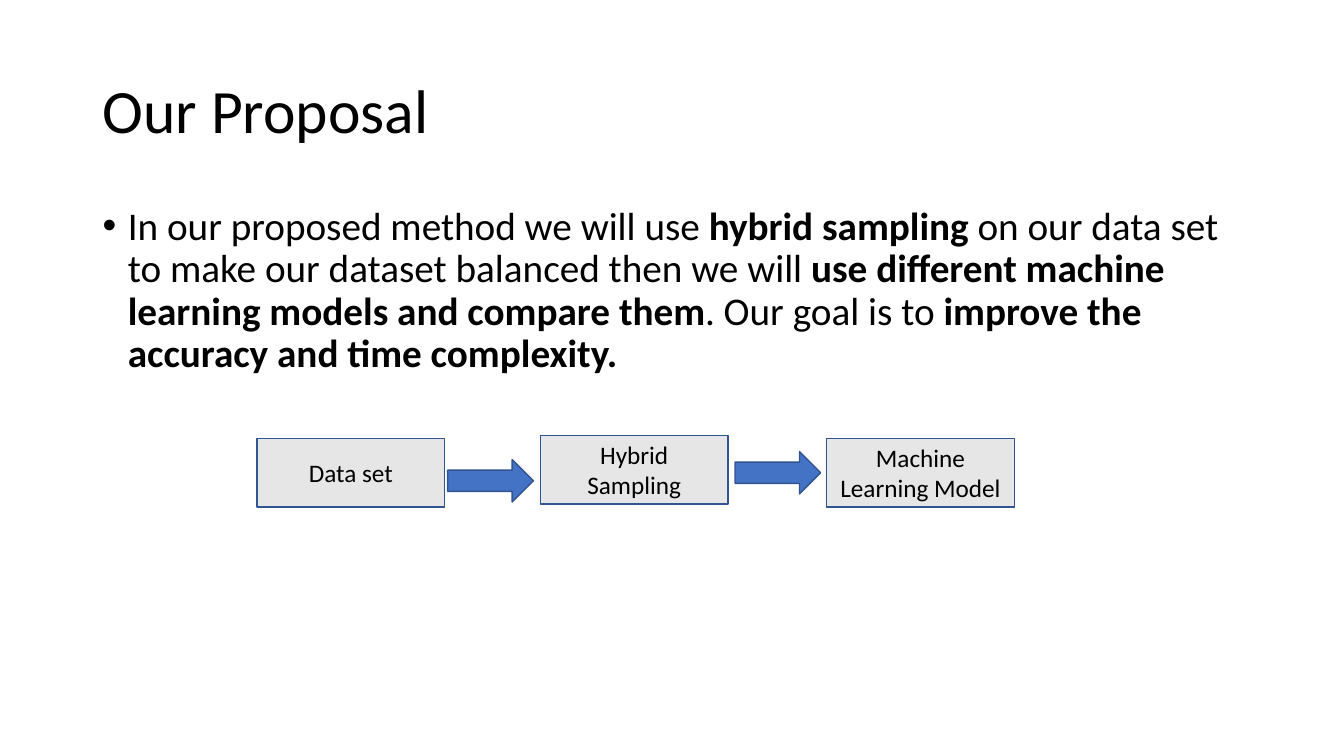
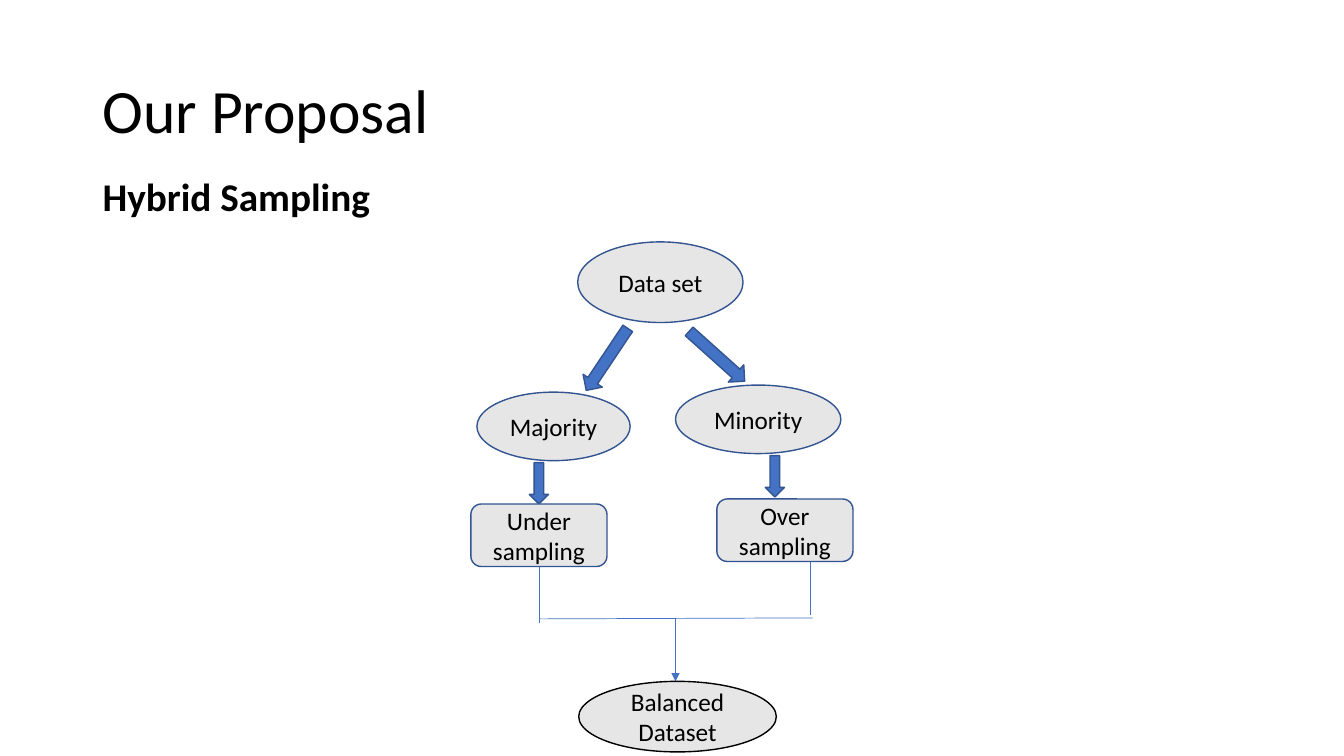
import dataclasses
import typing

import lxml.etree
import pptx
import pptx.dml.color
import pptx.enum.shapes
import pptx.enum.text
import pptx.oxml.ns
import pptx.util

RGBColor = pptx.dml.color.RGBColor
Inches = pptx.util.Inches
Pt = pptx.util.Pt
Preset = pptx.enum.shapes.MSO_SHAPE
Anchor = pptx.enum.text.MSO_ANCHOR
Align = pptx.enum.text.PP_ALIGN

BLACK = RGBColor(0x00, 0x00, 0x00)
GRAY = RGBColor(0xE7, 0xE6, 0xE6)
BLUE = RGBColor(0x44, 0x72, 0xC4)
NAVY = RGBColor(0x32, 0x54, 0x91)

FONT = "Calibri"
TITLE = "Our Proposal"
TEXT_LEFT, TEXT_WIDTH = 0.92, 11.5
BULLET_INDENT = Inches(0.25)


class Span(typing.NamedTuple):
    text: str
    bold: bool = False


@dataclasses.dataclass(frozen=True)
class Node:
    text: str
    left: float
    top: float
    width: float
    height: float
    preset: Preset
    outline: RGBColor = NAVY
    inset: float = 0.1


@dataclasses.dataclass(frozen=True)
class BlockArrow:
    left: float
    top: float
    width: float
    height: float
    preset: Preset = Preset.RIGHT_ARROW
    rotation: float = 0


class Link(typing.NamedTuple):
    start_x: float
    start_y: float
    end_x: float
    end_y: float
    arrow: bool = False


def apply_format(target: typing.Any, values: dict[str, typing.Any]) -> None:
    for name, value in values.items():
        setattr(target, name, value)


def add_spans(paragraph: typing.Any, spans: typing.Sequence[Span], size: float) -> None:
    for span in spans:
        run = paragraph.add_run()
        run.text = span.text
        apply_format(run.font, {"name": FONT, "size": Pt(size), "bold": span.bold})
        run.font.color.rgb = BLACK


def add_text(slide: typing.Any, spans: typing.Sequence[Span], top: float, height: float,
             size: float, anchor: Anchor = Anchor.TOP, space_before: float = 0) -> typing.Any:
    box = slide.shapes.add_textbox(Inches(TEXT_LEFT), Inches(top), Inches(TEXT_WIDTH), Inches(height))
    apply_format(box.text_frame, {"word_wrap": True, "vertical_anchor": anchor})
    paragraph = box.text_frame.paragraphs[0]
    apply_format(paragraph, {"line_spacing": 0.9, "space_before": Pt(space_before)})
    add_spans(paragraph, spans, size)
    return paragraph


def add_body(slide: typing.Any, spans: typing.Sequence[Span], top: float) -> typing.Any:
    return add_text(slide, spans, top, 7.5 - top, 28, space_before=10)


def add_bullet(paragraph: typing.Any) -> None:
    properties = paragraph._p.get_or_add_pPr()
    properties.set("marL", str(BULLET_INDENT))
    properties.set("indent", str(-BULLET_INDENT))
    font = lxml.etree.SubElement(properties, pptx.oxml.ns.qn("a:buFont"))
    font.set("typeface", "Arial")
    bullet = lxml.etree.SubElement(properties, pptx.oxml.ns.qn("a:buChar"))
    bullet.set("char", "•")


def add_filled(slide: typing.Any, item: Node | BlockArrow, fill: RGBColor, outline: RGBColor) -> typing.Any:
    shape = slide.shapes.add_shape(item.preset, Inches(item.left), Inches(item.top),
                                   Inches(item.width), Inches(item.height))
    shape.shadow.inherit = False
    shape.fill.solid()
    shape.fill.fore_color.rgb = fill
    shape.line.color.rgb = outline
    shape.line.width = Pt(1)
    return shape


def add_node(slide: typing.Any, node: Node) -> None:
    shape = add_filled(slide, node, GRAY, node.outline)
    apply_format(shape.text_frame, {
        "word_wrap": True,
        "vertical_anchor": Anchor.MIDDLE,
        "margin_left": Inches(node.inset),
        "margin_right": Inches(node.inset),
    })
    paragraph = shape.text_frame.paragraphs[0]
    paragraph.alignment = Align.CENTER
    add_spans(paragraph, [Span(node.text)], 18)


def add_block_arrow(slide: typing.Any, arrow: BlockArrow) -> None:
    shape = add_filled(slide, arrow, BLUE, NAVY)
    shape.rotation = arrow.rotation


def add_link(slide: typing.Any, link: Link) -> None:
    connector = slide.shapes.add_connector(
        pptx.enum.shapes.MSO_CONNECTOR.STRAIGHT, Inches(link.start_x), Inches(link.start_y),
        Inches(link.end_x), Inches(link.end_y))
    connector.line.color.rgb = BLUE
    connector.line.width = Pt(0.5)
    if link.arrow:
        tail = lxml.etree.SubElement(connector.line._get_or_add_ln(), pptx.oxml.ns.qn("a:tailEnd"))
        tail.set("type", "triangle")
    lxml.etree.SubElement(connector._element.spPr, pptx.oxml.ns.qn("a:effectLst"))


def add_diagram(slide: typing.Any, nodes: typing.Sequence[Node], arrows: typing.Sequence[BlockArrow],
                links: typing.Sequence[Link] = ()) -> None:
    for arrow in arrows:
        add_block_arrow(slide, arrow)
    for link in links:
        add_link(slide, link)
    for node in nodes:
        add_node(slide, node)


def add_titled_slide(presentation: typing.Any) -> typing.Any:
    slide = presentation.slides.add_slide(presentation.slide_layouts[6])
    add_text(slide, [Span(TITLE)], 0.4, 1.45, 44, Anchor.MIDDLE)
    return slide


def build_overview(presentation: typing.Any) -> None:
    slide = add_titled_slide(presentation)
    add_bullet(add_body(slide, [
        Span("In our proposed method we will use "),
        Span("hybrid sampling ", True),
        Span("on our data set to make our dataset balanced then we will "),
        Span("use different machine learning models and compare them", True),
        Span(". Our goal is to "),
        Span("improve the accuracy and time complexity.", True),
    ], 2))
    steps = [("Data set", 2.55, 4.35), ("Hybrid Sampling", 5.36, 4.32), ("Machine Learning Model", 8.2, 4.35)]
    add_diagram(
        slide,
        [Node(text, left, top, 1.86, 0.68, Preset.RECTANGLE, inset=0.11) for text, left, top in steps],
        [BlockArrow(left, top, 0.85, 0.42) for left, top in [(4.44, 4.56), (7.29, 4.48)]],
    )


def build_hybrid_sampling(presentation: typing.Any) -> None:
    slide = add_titled_slide(presentation)
    add_body(slide, [Span("Hybrid Sampling", True)], 1.71)
    nodes = [
        Node("Data set", 5.73, 2.4, 1.64, 0.8, Preset.OVAL),
        Node("Majority", 4.73, 3.89, 1.52, 0.68, Preset.OVAL),
        Node("Minority", 6.7, 3.82, 1.64, 0.68, Preset.OVAL),
        Node("Under sampling", 4.67, 5, 1.35, 0.62, Preset.ROUNDED_RECTANGLE),
        Node("Over sampling", 7.11, 4.95, 1.35, 0.62, Preset.ROUNDED_RECTANGLE),
        Node("Balanced Dataset", 5.74, 6.76, 1.96, 0.7, Preset.OVAL, BLACK),
    ]
    arrows = [
        BlockArrow(5.65, 3.45, 0.74, 0.23, rotation=123.8),
        BlockArrow(6.74, 3.42, 0.74, 0.23, rotation=41.9),
        BlockArrow(5.25, 4.59, 0.19, 0.41, Preset.DOWN_ARROW),
        BlockArrow(7.59, 4.52, 0.19, 0.41, Preset.DOWN_ARROW),
    ]
    links = [
        Link(5.35, 5.63, 5.35, 6.18),
        Link(5.35, 6.14, 8.06, 6.13),
        Link(8.04, 5.58, 8.04, 6.1),
        Link(6.7, 6.13, 6.7, 6.76, arrow=True),
    ]
    add_diagram(slide, nodes, arrows, links)


def main() -> None:
    presentation = pptx.Presentation()
    apply_format(presentation, {"slide_width": Inches(13.33), "slide_height": Inches(7.5)})
    build_overview(presentation)
    build_hybrid_sampling(presentation)
    presentation.save("out.pptx")


main()
